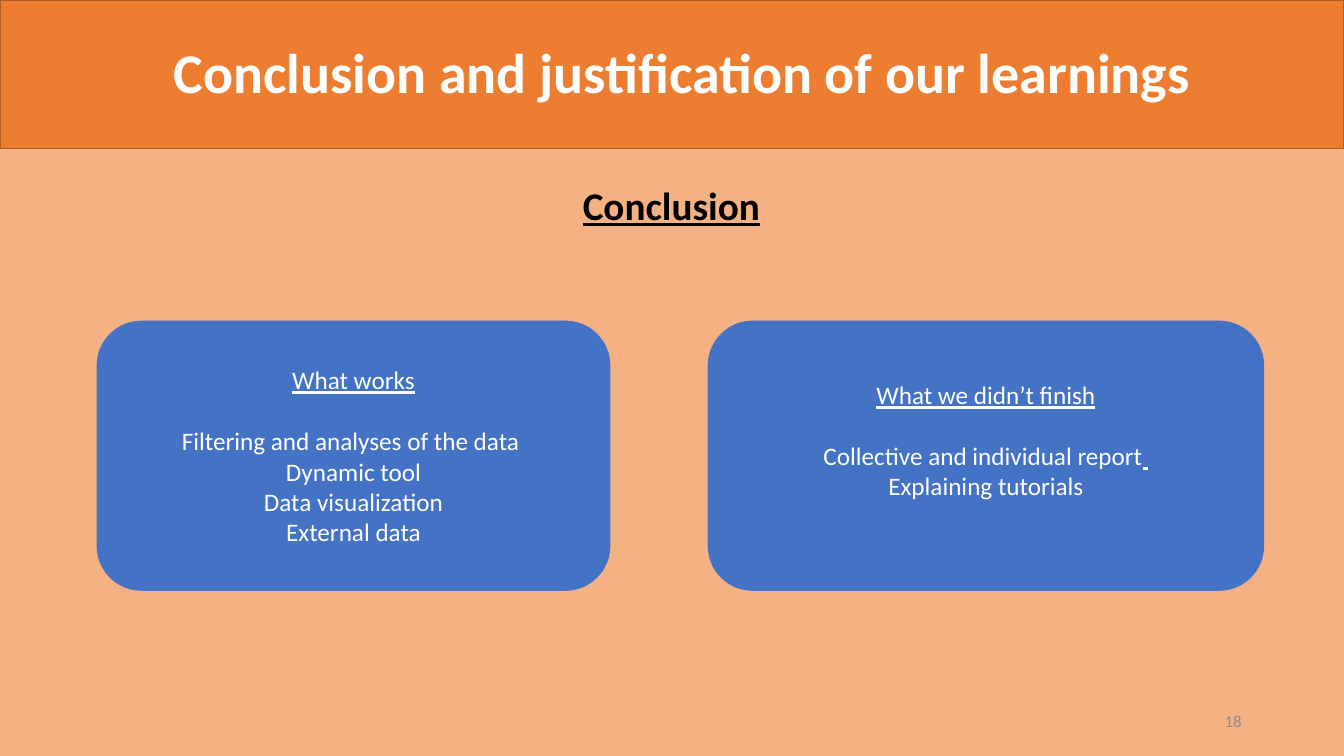
from pptx import Presentation
from pptx.dml.color import RGBColor
from pptx.enum.shapes import MSO_SHAPE
from pptx.enum.text import MSO_ANCHOR, PP_ALIGN
from pptx.util import Pt

RECTANGLE, ROUNDED = MSO_SHAPE.RECTANGLE, MSO_SHAPE.ROUNDED_RECTANGLE
CENTER, RIGHT = PP_ALIGN.CENTER, PP_ALIGN.RIGHT
MIDDLE = MSO_ANCHOR.MIDDLE

PEACH = RGBColor(0xF4, 0xB1, 0x83)
ORANGE = RGBColor(0xED, 0x7D, 0x31)
BROWN = RGBColor(0xAF, 0x5C, 0x24)
BLUE = RGBColor(0x44, 0x72, 0xC4)
WHITE = RGBColor(0xFF, 0xFF, 0xFF)
BLACK = RGBColor(0, 0, 0)
GRAY = RGBColor(0x8B, 0x8B, 0x8B)

FONT = "Calibri"
WIDTH, HEIGHT = 960, 540
BANNER_HEIGHT = 106
CARD_TOP, CARD_HEIGHT = 229, 193
LINE_HEIGHT = 22
INSET = 3.6

TITLE = "Conclusion and justification of our learnings"
SUBTITLE = "Conclusion"
PAGE_NUMBER = "18"
CARDS = [
    {
        "left": 505.5, "width": 397.5, "bottom_inset": INSET + LINE_HEIGHT,
        "heading": "What we didn’t finish",
        "items": [
            [("Collective and individual report", False), (" ", True)],
            [("Explaining tutorials", False)],
        ],
    },
    {
        "left": 69, "width": 367, "bottom_inset": INSET,
        "heading": "What works",
        "items": [
            [("Filtering and analyses of the data ", False)],
            [("Dynamic tool", False)],
            [("Data visualization", False)],
            [("External data", False)],
        ],
    },
]


def add_block(slide, kind, left, top, width, height, color):
    shape = slide.shapes.add_shape(kind, Pt(left), Pt(top), Pt(width), Pt(height))
    shape.shadow.inherit = False
    shape.fill.solid()
    shape.fill.fore_color.rgb = color
    shape.line.fill.background()
    return shape


def write_paragraph(paragraph, runs, size, color, bold=False, align=CENTER):
    paragraph.alignment = align
    font = paragraph.font
    font.name, font.size, font.bold = FONT, Pt(size), bold
    font.color.rgb = color
    for text, underline in runs:
        run = paragraph.add_run()
        run.text = text
        run.font.underline = underline


def add_label(slide, left, top, width, height):
    frame = slide.shapes.add_textbox(Pt(left), Pt(top), Pt(width), Pt(height)).text_frame
    frame.word_wrap = True
    return frame


def add_card(slide, card):
    shape = add_block(slide, ROUNDED, card["left"], CARD_TOP, card["width"], CARD_HEIGHT, BLUE)
    frame = shape.text_frame
    frame.word_wrap = True
    frame.vertical_anchor = MIDDLE
    frame.margin_bottom = Pt(card["bottom_inset"])
    heading = frame.paragraphs[0]
    write_paragraph(heading, [(card["heading"], True)], 18, WHITE)
    heading.space_after = Pt(LINE_HEIGHT)
    for runs in card["items"]:
        write_paragraph(frame.add_paragraph(), runs, 18, WHITE)


def main():
    presentation = Presentation()
    presentation.slide_width, presentation.slide_height = Pt(WIDTH), Pt(HEIGHT)
    slide = presentation.slides.add_slide(presentation.slide_layouts[5])

    add_block(slide, RECTANGLE, 0, 0, WIDTH, HEIGHT, PEACH)
    banner = add_block(slide, RECTANGLE, 0, 0, WIDTH, BANNER_HEIGHT, ORANGE)
    banner.line.color.rgb = BROWN
    banner.line.width = Pt(1)

    subtitle = add_label(slide, 342, 126, 275, 41)
    write_paragraph(subtitle.paragraphs[0], [(SUBTITLE, True)], 28, BLACK, bold=True)

    for card in CARDS:
        add_card(slide, card)

    title = slide.shapes.title
    title.left, title.top, title.width, title.height = Pt(71), Pt(23), Pt(832), Pt(55.5)
    write_paragraph(title.text_frame.paragraphs[0], [(TITLE, False)], 40, WHITE, bold=True)
    slide.shapes._spTree.append(title._element)

    number = add_label(slide, 678, 500.5, 216, 29)
    number.vertical_anchor = MIDDLE
    write_paragraph(number.paragraphs[0], [(PAGE_NUMBER, False)], 12, GRAY, align=RIGHT)

    presentation.save("out.pptx")


if __name__ == "__main__":
    main()
